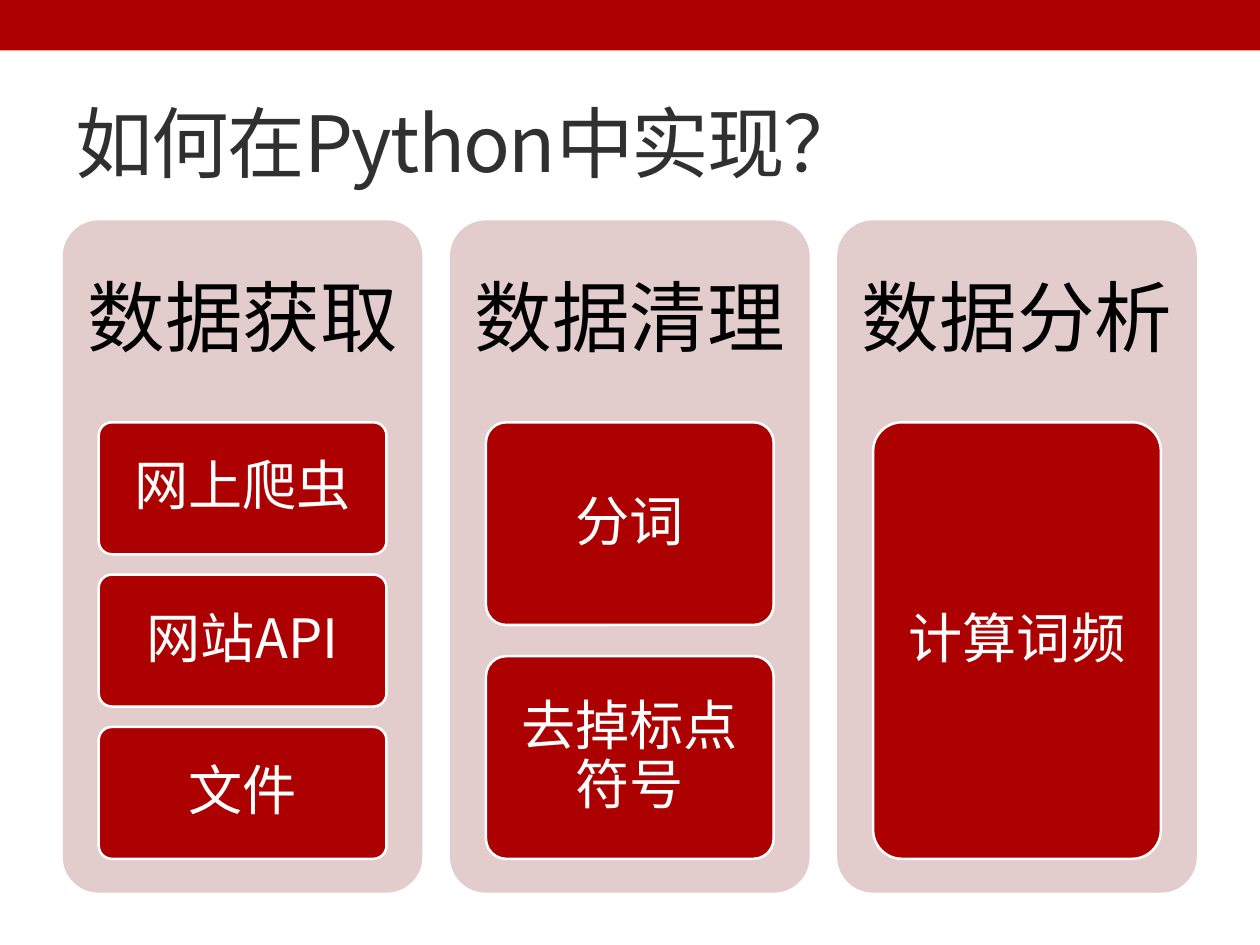
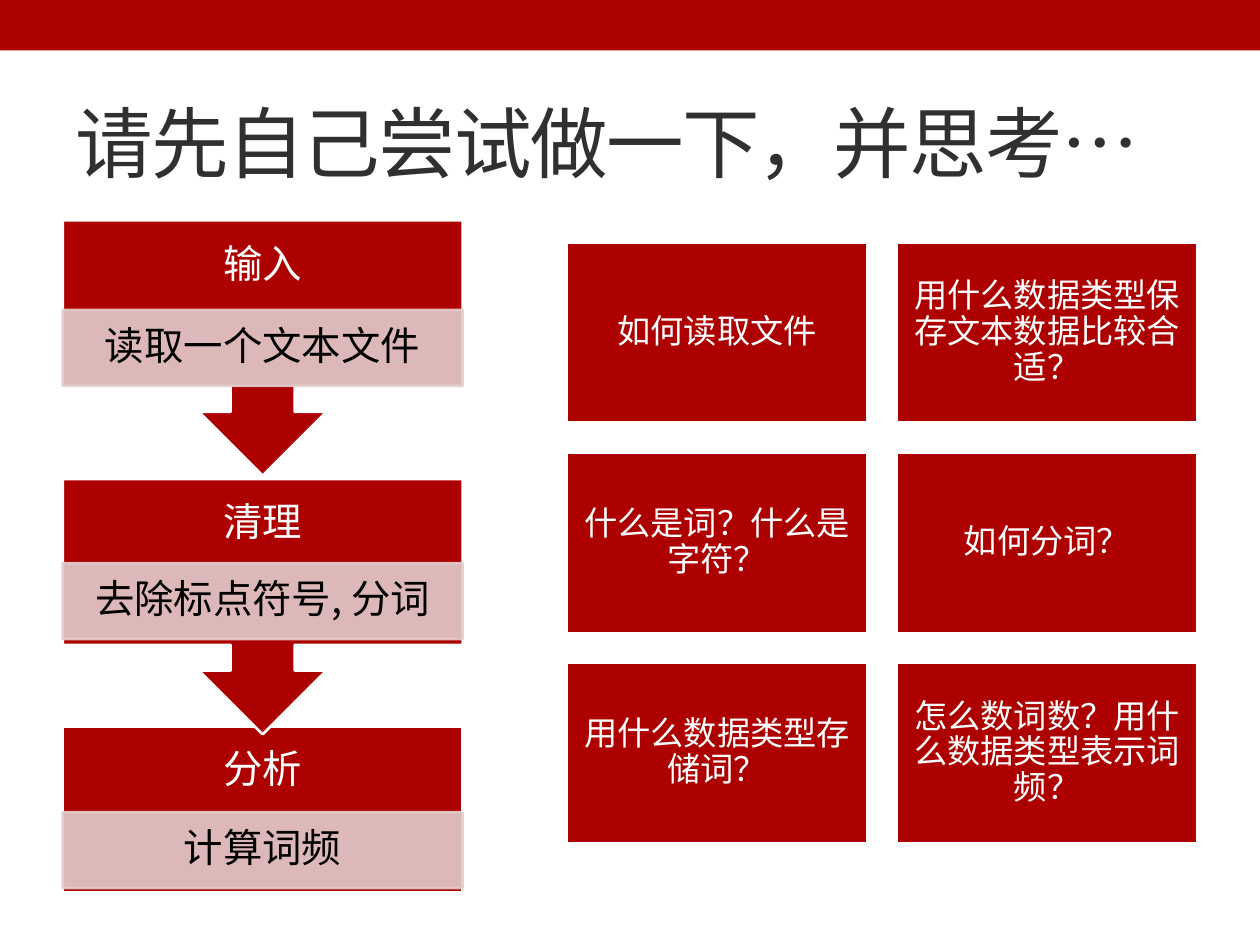
from dataclasses import dataclass

import pptx
import pptx.dml.color
import pptx.enum.shapes
import pptx.enum.text
import pptx.oxml
import pptx.oxml.ns
import pptx.shapes.autoshape
import pptx.slide
import pptx.util
from pptx.util import Cm

SHAPE = pptx.enum.shapes.MSO_SHAPE
ALIGN = pptx.enum.text.PP_ALIGN
NS = pptx.oxml.ns


# Theme
@dataclass(frozen=True)
class Theme:
    font: str = "Noto Sans CJK SC"
    red: str = "AD0101"
    pale: str = "E3CCCC"
    white: str = "FFFFFF"
    black: str = "000000"
    ink: str = "303030"
    title: float = 63
    tile: float = 44
    step: float = 32
    question: float = 27
    line: float = 2.08


THEME = Theme()


# Content records, lengths in centimetres
@dataclass(frozen=True)
class Frame:
    left: float
    top: float
    width: float
    height: float


@dataclass(frozen=True)
class Panel:
    heading: str
    tiles: tuple[str, ...]


@dataclass(frozen=True)
class Step:
    name: str
    detail: str
    top: float
    detail_top: float


PANELS = (
    Panel("数据获取", ("网上爬虫", "网站API", "文件")),
    Panel("数据清理", ("分词", "去掉标点符号")),
    Panel("数据分析", ("计算词频",)),
)
STEPS = (
    Step("输入", "读取一个文本文件", 6.32, 8.89),
    Step("清理", "去除标点符号, 分词", 13.74, 16.15),
    Step("分析", "计算词频", 20.83, 23.29),
)
QUESTIONS = (
    "如何读取文件",
    "用什么数据类型保存文本数据比较合适？",
    "什么是词？什么是字符？",
    "如何分词？",
    "用什么数据类型存储词？",
    "怎么数词数？用什么数据类型表示词频？",
)

PAGE_WIDTH, PAGE_HEIGHT = 36.12, 27.1
MARGIN = 1.8
TITLE = Frame(MARGIN, 2.11, 32.51, 3.91)


# Drawing helpers
def rgb(color: str) -> pptx.dml.color.RGBColor:
    return pptx.dml.color.RGBColor.from_string(color)


def write(box: pptx.shapes.autoshape.Shape, text: str, *, size: float, color: str,
          align: ALIGN = ALIGN.CENTER, line_spacing: float = 0.9, tracking: float = 0,
          insets: tuple[float, float, float, float] = (0, 0, 0, 0)) -> None:
    """Fill a box with one formatted paragraph; insets run left, top, right, bottom."""
    frame = box.text_frame
    frame.word_wrap = True
    frame.auto_size = pptx.enum.text.MSO_AUTO_SIZE.NONE
    frame.vertical_anchor = pptx.enum.text.MSO_ANCHOR.MIDDLE
    frame.margin_left, frame.margin_top, frame.margin_right, frame.margin_bottom = map(Cm, insets)
    para = frame.paragraphs[0]
    para.alignment = align
    para.line_spacing = line_spacing
    span = para.add_run()
    span.text = text
    span.font.size = pptx.util.Pt(size)
    span.font.name = THEME.font
    span.font.color.rgb = rgb(color)
    properties = span.font._element
    if tracking:
        properties.set("spc", str(round(tracking * 100)))
    east_asian = pptx.oxml.parse_xml(f'<a:ea {NS.nsdecls("a")} typeface="{THEME.font}"/>')
    properties.append(east_asian)


def add_box(page: pptx.slide.Slide, frame: Frame, *, kind: SHAPE = SHAPE.RECTANGLE,
            fill: str = THEME.red, line: str | None = THEME.white,
            opacity: int = 100) -> pptx.shapes.autoshape.Shape:
    box = page.shapes.add_shape(kind, Cm(frame.left), Cm(frame.top),
                                Cm(frame.width), Cm(frame.height))
    box.shadow.inherit = False
    box.fill.solid()
    box.fill.fore_color.rgb = rgb(fill)
    if line:
        box.line.color.rgb = rgb(line)
        box.line.width = pptx.util.Pt(THEME.line)
    else:
        box.line.fill.background()
    if kind == SHAPE.ROUNDED_RECTANGLE:
        box.adjustments[0] = 0.1
    if opacity < 100:
        for color in box.element.spPr.iter(NS.qn("a:srgbClr")):
            color.append(pptx.oxml.parse_xml(
                f'<a:alpha {NS.nsdecls("a")} val="{opacity * 1000}"/>'))
    return box


def add_page(deck: pptx.presentation.Presentation, title: str) -> pptx.slide.Slide:
    page = deck.slides.add_slide(deck.slide_layouts.get_by_name("Title Only"))
    box = page.shapes.title
    box.left, box.top = Cm(TITLE.left), Cm(TITLE.top)
    box.width, box.height = Cm(TITLE.width), Cm(TITLE.height)
    write(box, title, size=THEME.title, color=THEME.ink, align=ALIGN.LEFT,
          line_spacing=1.0, tracking=-1.4, insets=(0.36, 0.18, 0.36, 0.18))
    return page


def move_band_to_master(deck: pptx.presentation.Presentation, page: pptx.slide.Slide) -> None:
    """Draw the top band once and let every page inherit it."""
    band = add_box(page, Frame(0, 0, PAGE_WIDTH, 1.45), line=None)
    deck.slide_master.shapes.element.insert(2, band.element)


# Slide parts
def draw_panels(page: pptx.slide.Slide) -> None:
    width, height, pitch, top = 10.31, 19.28, 11.1, 6.32
    heading_height = 5.79
    tile_width, tiles_height, tile_to_gap = 8.25, 12.52, 6.5
    for column, panel in enumerate(PANELS):
        left = MARGIN + column * pitch
        back = add_box(page, Frame(left, top, width, height),
                       kind=SHAPE.ROUNDED_RECTANGLE, fill=THEME.pale, line=None)
        write(back, panel.heading, size=THEME.title, color=THEME.black,
              insets=(0.3, 0, 0.3, height - heading_height))
        count = len(panel.tiles)
        tile_height = tiles_height / (count + (count - 1) / tile_to_gap)
        tile_pitch = tile_height * (1 + 1 / tile_to_gap)
        for row, text in enumerate(panel.tiles):
            frame = Frame(left + (width - tile_width) / 2,
                          top + heading_height + row * tile_pitch, tile_width, tile_height)
            tile = add_box(page, frame, kind=SHAPE.ROUNDED_RECTANGLE)
            write(tile, text, size=THEME.tile, color=THEME.white,
                  insets=(0.3, 0.23, 0.3, 0.23))


def draw_steps(page: pptx.slide.Slide) -> None:
    width, callout_height, box_height, detail_height = 11.46, 7.32, 4.75, 2.18
    # Later steps lie behind, so each arrow tip overlaps the next box
    for step in reversed(STEPS):
        last = step is STEPS[-1]
        box = add_box(page, Frame(MARGIN, step.top, width, box_height if last else callout_height),
                      kind=SHAPE.RECTANGLE if last else SHAPE.DOWN_ARROW_CALLOUT)
        write(box, step.name, size=THEME.step, color=THEME.white,
              insets=(0.64, 0, 0.64, detail_height))
        detail = add_box(page, Frame(MARGIN, step.detail_top, width, detail_height),
                         fill=THEME.pale, line=THEME.pale, opacity=90)
        write(detail, step.detail, size=THEME.step, color=THEME.black,
              insets=(0.64, 0.1, 0.64, 0.1))


def draw_questions(page: pptx.slide.Slide) -> None:
    left, top, width, height, gap, columns = 16.26, 6.96, 8.59, 5.16, 0.87, 2
    for index, question in enumerate(QUESTIONS):
        row, column = divmod(index, columns)
        box = add_box(page, Frame(left + column * (width + gap), top + row * (height + gap),
                                  width, height))
        write(box, question, size=THEME.question, color=THEME.white, insets=(0.28,) * 4)


def main() -> None:
    deck = pptx.Presentation()
    deck.slide_width, deck.slide_height = Cm(PAGE_WIDTH), Cm(PAGE_HEIGHT)

    # Slide 1: workflow panels
    page = add_page(deck, "如何在Python中实现？")
    move_band_to_master(deck, page)
    draw_panels(page)

    # Slide 2: steps and questions
    page = add_page(deck, "请先自己尝试做一下，并思考…")
    draw_steps(page)
    draw_questions(page)

    deck.save("out.pptx")


if __name__ == "__main__":
    main()
